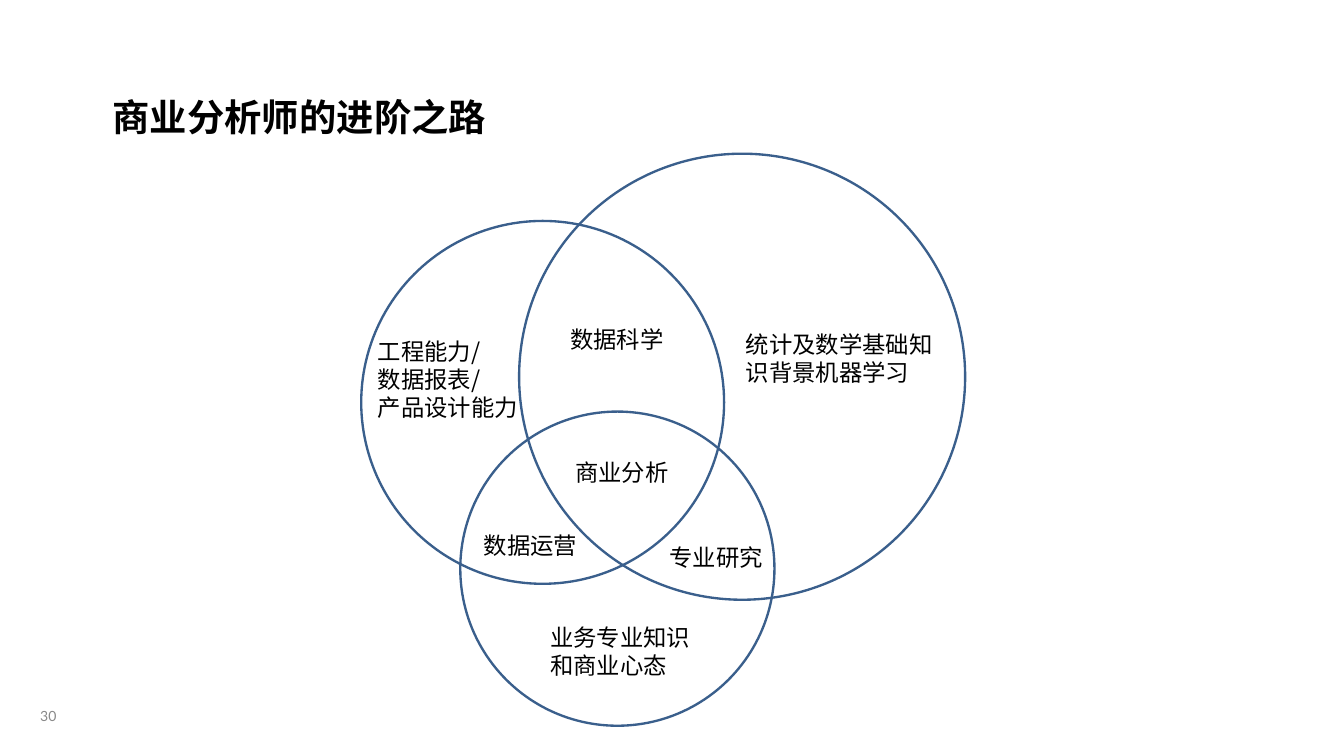
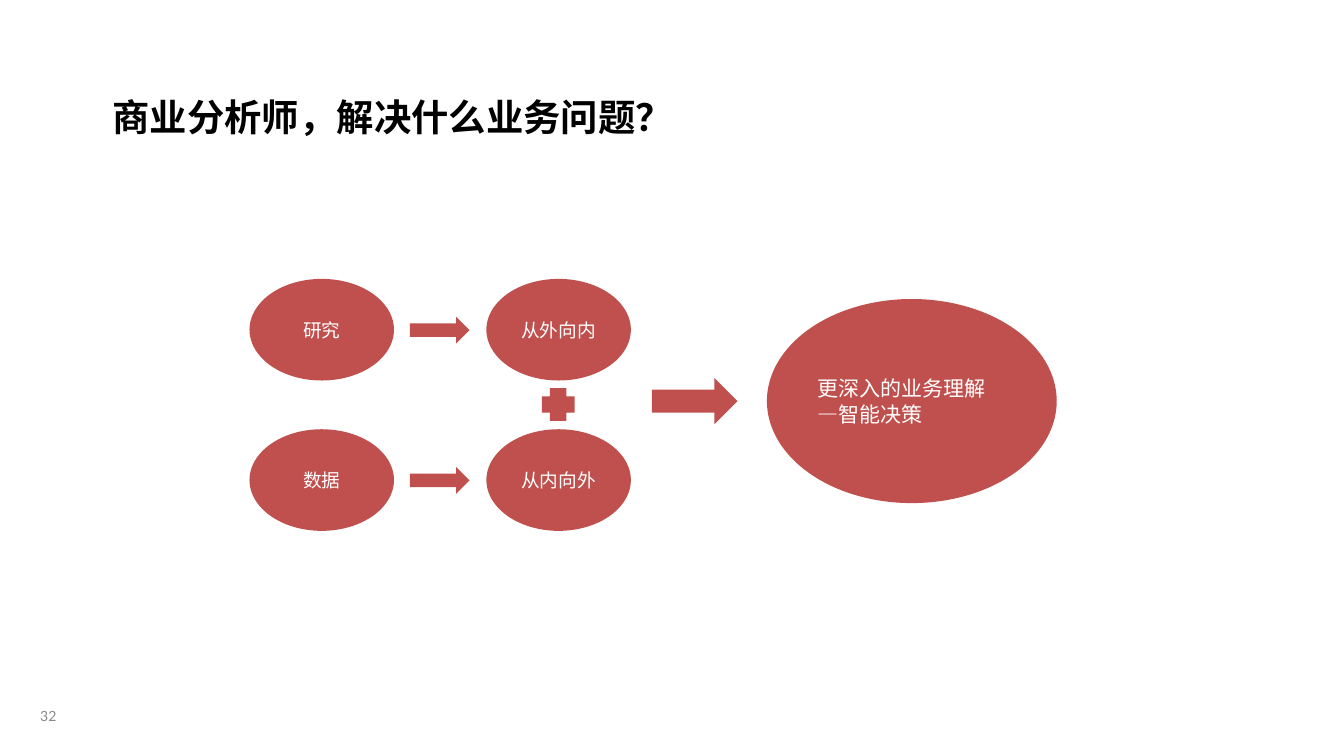
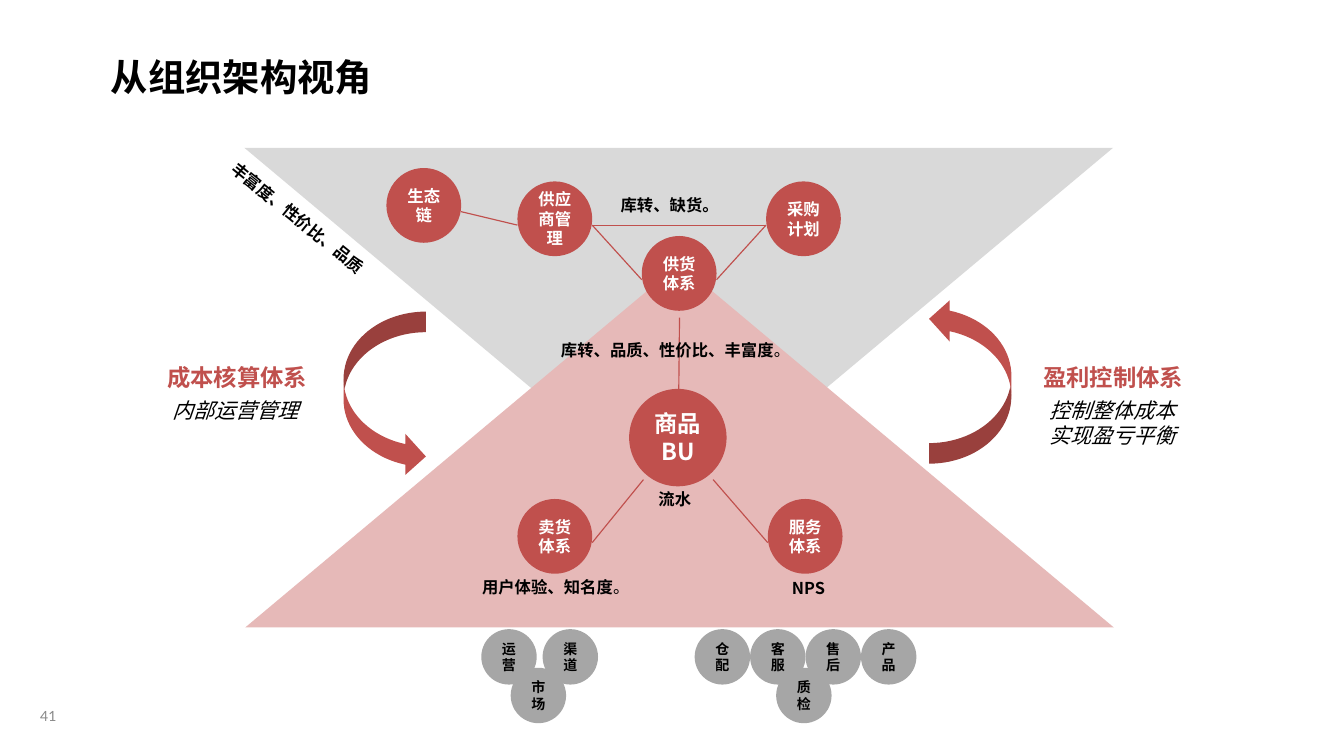
from dataclasses import dataclass
from typing import Optional

from lxml.etree import SubElement
from pptx import Presentation
from pptx.dml.color import RGBColor
from pptx.enum.shapes import MSO_CONNECTOR, MSO_SHAPE
from pptx.enum.text import MSO_ANCHOR, MSO_AUTO_SIZE, PP_ALIGN
from pptx.oxml.ns import qn
from pptx.shapes.autoshape import Shape
from pptx.slide import Slide
from pptx.text.text import TextFrame
from pptx.util import Inches, Pt


@dataclass(frozen=True)
class Theme:
    font: str = "Noto Sans CJK SC"
    number_font: str = "Lato"
    black: str = "000000"
    white: str = "FFFFFF"
    red: str = "C0504D"
    pink: str = "E6B9B8"
    blue: str = "3A5F8C"
    light_gray: str = "D9D9D9"
    gray: str = "A6A6A6"
    number_gray: str = "898989"
    title: int = 32
    large: int = 20
    medium: int = 18
    node: int = 16
    small: int = 14
    tiny: int = 12


THEME = Theme()


@dataclass(frozen=True)
class Box:
    left: float
    top: float
    width: float
    height: float

    def lengths(self) -> tuple:
        return tuple(Inches(value) for value in
                     (self.left, self.top, self.width, self.height))


@dataclass(frozen=True)
class TextStyle:
    size: int
    color: str = THEME.black
    bold: bool = False
    italic: bool = False
    align: PP_ALIGN = PP_ALIGN.LEFT
    font: str = THEME.font


@dataclass(frozen=True)
class Label:
    """Text in a box; light_tail follows it without bold."""
    text: str
    box: Box
    style: TextStyle
    light_tail: str = ""
    rotation: float = 0


@dataclass(frozen=True)
class Node:
    """A circle of the organisation diagram, placed by its top left corner."""
    text: str
    left: float
    top: float


@dataclass(frozen=True)
class Link:
    x1: float
    y1: float
    x2: float
    y2: float
    width: float = 1


TITLE = TextStyle(THEME.title, bold=True)
NUMBER = TextStyle(THEME.tiny, THEME.number_gray, align=PP_ALIGN.CENTER,
                   font=THEME.number_font)
BODY = TextStyle(THEME.large)
STEP = TextStyle(THEME.node, THEME.white, align=PP_ALIGN.CENTER)
RESULT = TextStyle(THEME.medium, THEME.white)
CORE = TextStyle(THEME.large, THEME.white, bold=True, align=PP_ALIGN.CENTER)
UNIT = TextStyle(THEME.small, THEME.white, bold=True, align=PP_ALIGN.CENTER)
TEAM = TextStyle(THEME.tiny, bold=True, align=PP_ALIGN.CENTER)
METRIC = TextStyle(THEME.small, bold=True)
SYSTEM = TextStyle(THEME.large, THEME.red, bold=True)
REMARK = TextStyle(THEME.medium, italic=True)


def write_text(frame: TextFrame, text: str, style: TextStyle, light_tail: str = "") -> None:
    """Fill the frame, one paragraph for each line of the text."""
    frame.word_wrap = True
    for index, line in enumerate(text.split("\n")):
        paragraph = frame.paragraphs[0] if index == 0 else frame.add_paragraph()
        run = paragraph.add_run()
        run.text = line
        paragraph.alignment = style.align
        font = paragraph.font
        font.size = Pt(style.size)
        font.italic = style.italic
        font.color.rgb = RGBColor.from_string(style.color)
        font.name = style.font
        east_asian = SubElement(paragraph._p.pPr.find(qn("a:defRPr")), qn("a:ea"))
        east_asian.set("typeface", style.font)
        if light_tail:
            run.font.bold = style.bold
            tail = paragraph.add_run()
            tail.text = light_tail
            tail.font.bold = False
        else:
            font.bold = style.bold


def add_label(slide: Slide, label: Label) -> Shape:
    shape = slide.shapes.add_textbox(*label.box.lengths())
    shape.rotation = label.rotation
    write_text(shape.text_frame, label.text, label.style, label.light_tail)
    return shape


def add_figure(slide: Slide, kind: MSO_SHAPE, box: Box, fill: str = THEME.red,
               rotation: float = 0) -> Shape:
    shape = slide.shapes.add_shape(kind, *box.lengths())
    shape.shadow.inherit = False
    shape.fill.solid()
    shape.fill.fore_color.rgb = RGBColor.from_string(fill)
    shape.line.fill.background()
    shape.rotation = rotation
    return shape


def add_ellipse(slide: Slide, text: str, box: Box, style: TextStyle,
                fill: str = THEME.red) -> None:
    shape = add_figure(slide, MSO_SHAPE.OVAL, box, fill)
    shape.text_frame.vertical_anchor = MSO_ANCHOR.MIDDLE
    write_text(shape.text_frame, text, style)


def add_ring(slide: Slide, left: float, top: float, diameter: float) -> None:
    ring = add_figure(slide, MSO_SHAPE.OVAL, Box(left, top, diameter, diameter))
    ring.fill.background()
    ring.line.color.rgb = RGBColor.from_string(THEME.blue)
    ring.line.width = Pt(2)


def add_link(slide: Slide, link: Link) -> None:
    connector = slide.shapes.add_connector(
        MSO_CONNECTOR.STRAIGHT, Inches(link.x1), Inches(link.y1),
        Inches(link.x2), Inches(link.y2))
    connector.line.color.rgb = RGBColor.from_string(THEME.red)
    connector.line.width = Pt(link.width)
    SubElement(connector._element.spPr, qn("a:effectLst"))


def start_slide(presentation: Presentation, title: str, box: Box, number: int) -> Slide:
    """Add a slide with its title and page number."""
    slide = presentation.slides.add_slide(presentation.slide_layouts[5])
    placeholder = slide.shapes.title
    placeholder.left, placeholder.top, placeholder.width, placeholder.height = box.lengths()
    frame = placeholder.text_frame
    frame.auto_size = MSO_AUTO_SIZE.NONE
    frame.vertical_anchor = MSO_ANCHOR.TOP
    write_text(frame, title, TITLE)
    page = add_label(slide, Label(str(number), Box(0.2, 8.28, 0.75, 0.48), NUMBER))
    frame = page.text_frame
    frame.vertical_anchor = MSO_ANCHOR.MIDDLE
    frame.margin_left = frame.margin_right = Inches(0.08)
    frame.margin_top = frame.margin_bottom = Inches(0.04)
    return slide


def build_skills(presentation: Presentation) -> None:
    slide = start_slide(presentation, "商业分析师的进阶之路", Box(1.24, 1.07, 5.81, 0.64), 30)
    for left, top, diameter in ((5.48, 4.9, 3.74), (6.18, 1.83, 5.31), (4.3, 2.63, 4.32)):
        add_ring(slide, left, top, diameter)
    for text, box in (
        ("数据科学", Box(6.69, 3.82, 1.35, 0.44)),
        ("商业分析", Box(6.75, 5.41, 1.35, 0.44)),
        ("专业研究", Box(7.87, 6.42, 1.35, 0.44)),
        ("数据运营", Box(5.66, 6.28, 1.35, 0.44)),
        ("统计及数学基础知识背景机器学习", Box(8.78, 3.88, 2.61, 0.77)),
        ("业务专业知识和商业心态", Box(6.45, 7.37, 1.96, 0.77)),
        ("工程能力/\n数据报表/\n产品设计能力", Box(4.4, 3.96, 1.89, 1.11)),
    ):
        add_label(slide, Label(text, box, BODY))


def build_problems(presentation: Presentation) -> None:
    slide = start_slide(presentation, "商业分析师，解决什么业务问题？",
                        Box(1.24, 1.07, 6.92, 0.64), 32)
    for top, source, direction in ((3.32, "研究", "从外向内"), (5.11, "数据", "从内向外")):
        for left, text in ((2.97, source), (5.79, direction)):
            add_ellipse(slide, text, Box(left, top, 1.72, 1.21), STEP)
        add_figure(slide, MSO_SHAPE.RIGHT_ARROW, Box(4.88, top + 0.45, 0.71, 0.32))
    add_ellipse(slide, "更深入的业务理解—智能决策", Box(9.13, 3.56, 3.45, 2.43), RESULT)
    add_figure(slide, MSO_SHAPE.RIGHT_ARROW, Box(7.76, 4.5, 1.02, 0.55))
    add_figure(slide, MSO_SHAPE.CROSS, Box(6.45, 4.62, 0.39, 0.39))


UNITS = (
    Node("供货体系", 7.64, 2.81),
    Node("供应商管理", 6.16, 2.16),
    Node("采购计划", 9.12, 2.16),
    Node("卖货体系", 6.16, 5.94),
    Node("服务体系", 9.14, 5.94),
    Node("生态链", 4.6, 2),
)
LINKS = (
    Link(7.66, 5.71, 7.05, 6.46),
    Link(8.49, 5.71, 9.14, 6.46),
    Link(8.08, 4.71, 8.09, 3.78),
    Link(7.64, 3.33, 7.05, 2.68),
    Link(8.53, 3.33, 9.12, 2.68),
    Link(6.16, 2.68, 5.49, 2.52),
    Link(7.06, 2.68, 9.12, 2.68, 0.75),
)
ORGANISATION_LABELS = (
    Label("库转、品质、性价比、丰富度", Box(6.58, 4, 3, 0.34), METRIC, "。"),
    Label("用户体验、知名度", Box(5.64, 6.82, 2.1, 0.34), METRIC, "。"),
    Label("流水", Box(7.74, 5.78, 0.62, 0.34), METRIC),
    Label("NPS", Box(9.33, 6.83, 0.77, 0.34), METRIC),
    Label("库转、缺货。", Box(7.29, 2.28, 1.43, 0.34), METRIC),
    Label("丰富度、性价比、品质", Box(2.46, 2.46, 2.25, 0.34), METRIC, rotation=39),
    Label("成本核算体系", Box(1.89, 4.28, 2.01, 0.44), SYSTEM),
    Label("盈利控制体系", Box(12.32, 4.28, 2.01, 0.44), SYSTEM),
    Label("内部运营管理", Box(1.96, 4.68, 1.87, 0.4), REMARK),
    Label("控制整体成本\n实现盈亏平衡", Box(12.39, 4.68, 1.87, 0.71), REMARK),
)
TEAM_PITCH = 0.66
TEAMS = (
    Node("运营", 5.73, 7.49),
    Node("渠道", 6.46, 7.49),
    Node("市场", 6.08, 7.95),
    *(Node(text, 8.27 + index * TEAM_PITCH, 7.49)
      for index, text in enumerate(("仓配", "客服", "售后", "产品"))),
    Node("质检", 9.24, 7.95),
)


def build_organisation(presentation: Presentation) -> None:
    slide = start_slide(presentation, "从组织架构视角", Box(1.22, 0.6, 4.43, 0.64), 41)
    triangle = MSO_SHAPE.FLOWCHART_EXTRACT
    add_figure(slide, triangle, Box(2.91, 1.76, 10.34, 4.33), THEME.light_gray, 180)
    add_figure(slide, triangle, Box(2.92, 3.14, 10.34, 4.33), THEME.pink)
    add_ellipse(slide, "商品\nBU", Box(7.49, 4.63, 1.16, 1.16), CORE)
    for unit in UNITS:
        add_ellipse(slide, unit.text, Box(unit.left, unit.top, 0.89, 0.89), UNIT)
    for link in LINKS:
        add_link(slide, link)
    for left, top, rotation in ((4.09, 3.71, 0), (11.06, 3.55, 180)):
        add_figure(slide, MSO_SHAPE.CURVED_RIGHT_ARROW, Box(left, top, 0.98, 1.97),
                   rotation=rotation)
    for label in ORGANISATION_LABELS:
        add_label(slide, label)
    for team in TEAMS:
        add_ellipse(slide, team.text, Box(team.left, team.top, 0.66, 0.66), TEAM, THEME.gray)


def main() -> None:
    presentation = Presentation()
    presentation.slide_width = Inches(16)
    presentation.slide_height = Inches(9)
    build_skills(presentation)
    build_problems(presentation)
    build_organisation(presentation)
    presentation.save("out.pptx")


if __name__ == "__main__":
    main()
